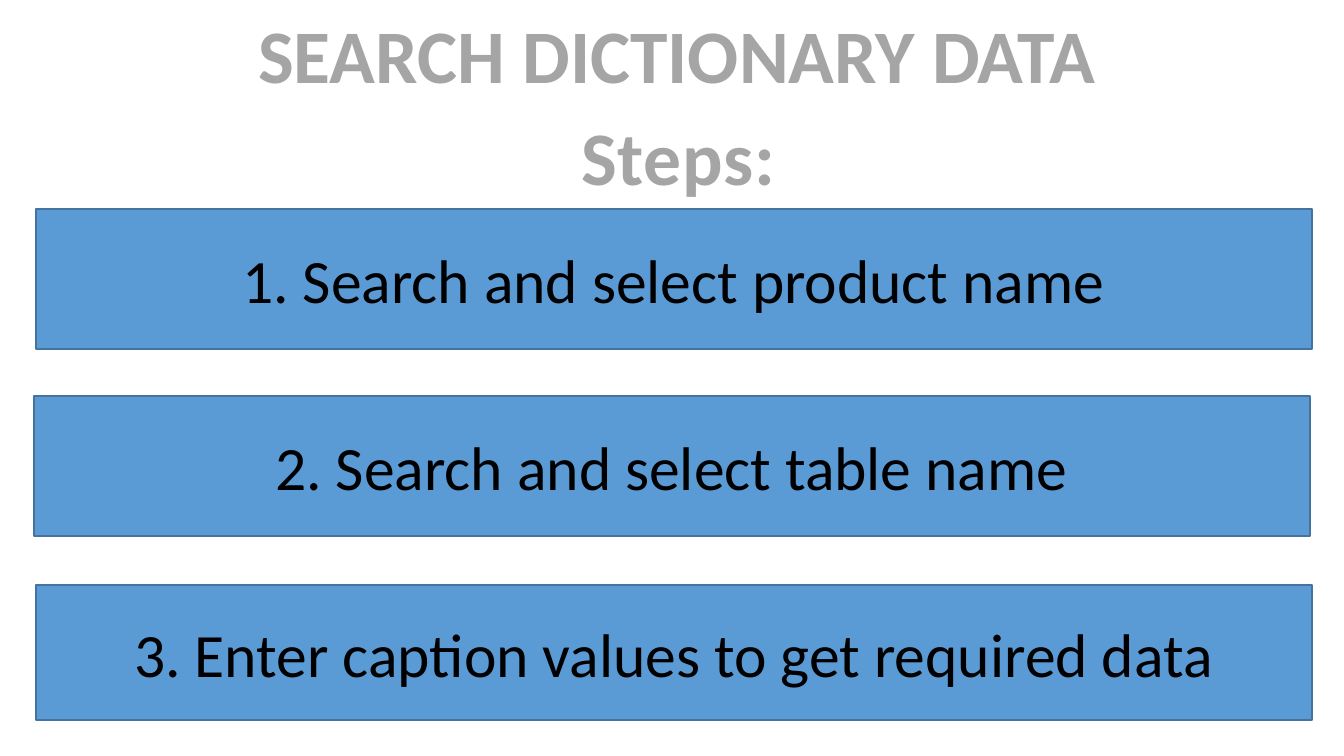
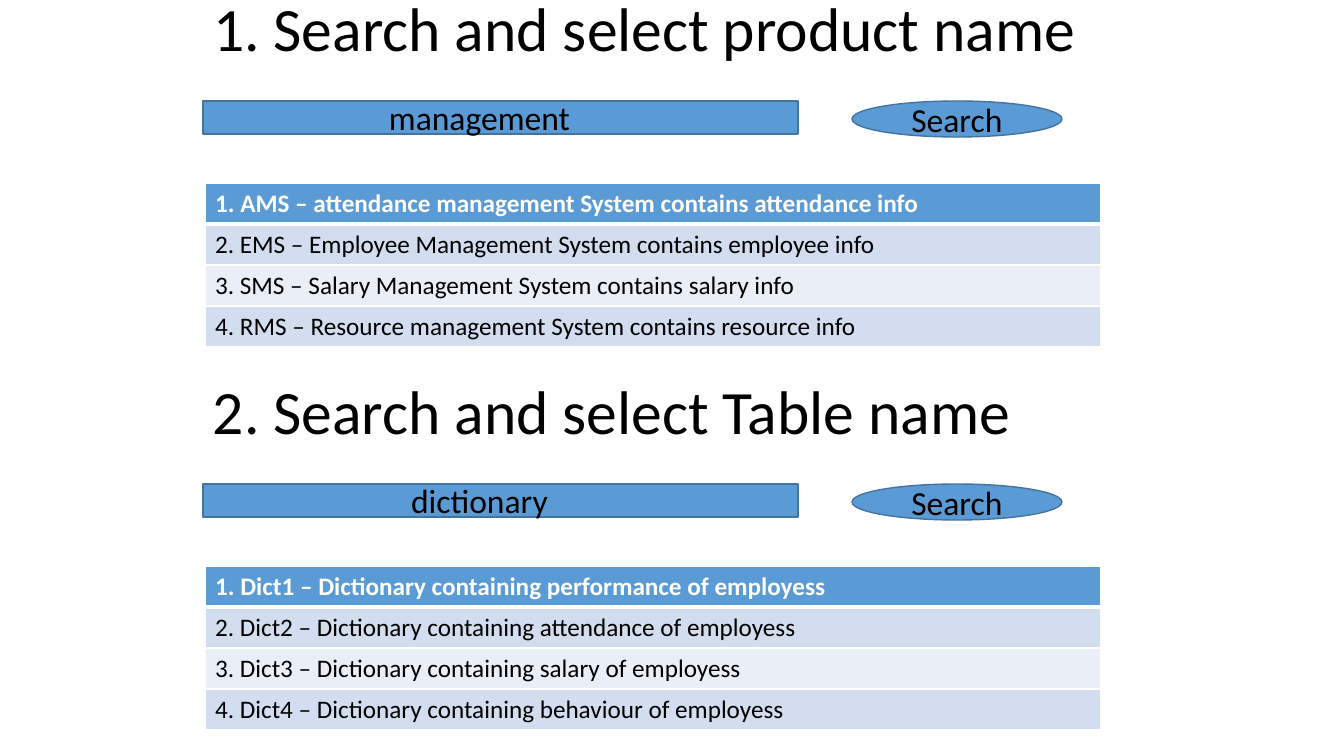
"""Build two slides on searching dictionary data."""
from dataclasses import dataclass

from lxml import etree
from pptx import Presentation
from pptx.dml.color import RGBColor
from pptx.enum.shapes import MSO_SHAPE
from pptx.enum.text import MSO_ANCHOR, MSO_AUTO_SIZE, PP_ALIGN
from pptx.oxml.ns import qn
from pptx.util import Emu, Pt

RECTANGLE, ELLIPSE = MSO_SHAPE.RECTANGLE, MSO_SHAPE.OVAL
LEFT, CENTER = PP_ALIGN.LEFT, PP_ALIGN.CENTER
TOP, MIDDLE = MSO_ANCHOR.TOP, MSO_ANCHOR.MIDDLE
NO_RESIZE = MSO_AUTO_SIZE.NONE
PIXEL = 914400 / 100.8
TITLE_ONLY = 5


@dataclass(frozen=True)
class Theme:
    """Colours, font and type sizes of the deck."""
    font: str = "Calibri"
    ink: str = "000000"
    white: str = "FFFFFF"
    grey: str = "A5A5A5"
    blue: str = "5B9BD5"
    outline: str = "43739E"
    bands: tuple = ("D2DEEF", "EAEFF7")
    banner: int = 54
    heading: int = 44
    control: int = 24
    cell: int = 18


THEME = Theme()


def px(value):
    """Turn picture pixels into EMU."""
    return Emu(round(value * PIXEL))


def assign(target, values):
    """Set every attribute named in a dict."""
    for name, value in values.items():
        setattr(target, name, value)


class SlideBuilder:
    """Hold the deck style and the current slide."""

    def __init__(self, theme):
        """Start an empty widescreen deck."""
        self.theme = theme
        self.deck = Presentation()
        assign(self.deck, {"slide_width": px(1344), "slide_height": px(756)})
        self.page = None

    def new_slide(self):
        """Add a title-only slide and make it current."""
        layout = self.deck.slide_layouts[TITLE_ONLY]
        self.page = self.deck.slides.add_slide(layout)

    def add_line(self, frame, text, size, color, align=LEFT, bold=False, spacing=0):
        """Put one styled line into a text frame."""
        para = frame.paragraphs[0]
        para.alignment = align
        span = para.add_run()
        span.text = text
        assign(span.font, {"name": self.theme.font, "size": Pt(size), "bold": bold})
        span.font.color.rgb = RGBColor.from_string(color)
        if spacing:
            span._r.get_or_add_rPr().set("spc", str(spacing))

    def label(self, box, text, **style):
        """Give a text holder its wrapping, anchor and line."""
        assign(box.text_frame, {"word_wrap": True, "auto_size": NO_RESIZE,
                                "vertical_anchor": TOP})
        self.add_line(box.text_frame, text, **style)

    def title(self, bounds, text, **style):
        """Move and fill the title placeholder."""
        box = self.page.shapes.title
        assign(box, dict(zip(("left", "top", "width", "height"), map(px, bounds))))
        self.label(box, text, **style)

    def text(self, bounds, text, **style):
        """Add a text box."""
        self.label(self.page.shapes.add_textbox(*map(px, bounds)), text, **style)

    def shape(self, kind, bounds, text, size, right_inset=0):
        """Add an outlined blue shape with centred text."""
        shape = self.page.shapes.add_shape(kind, *map(px, bounds))
        shape.shadow.inherit = False
        shape.fill.solid()
        shape.fill.fore_color.rgb = RGBColor.from_string(self.theme.blue)
        shape.line.color.rgb = RGBColor.from_string(self.theme.outline)
        shape.line.width = Pt(1)
        assign(shape.text_frame, {
            "word_wrap": True, "vertical_anchor": MIDDLE, "margin_left": 0,
            "margin_right": px(right_inset), "margin_top": 0, "margin_bottom": 0})
        self.add_line(shape.text_frame, text, size, self.theme.ink, CENTER)

    def border(self, cell, bottom):
        """Draw white cell borders with a given bottom width."""
        properties = cell._tc.get_or_add_tcPr()
        for side, width in (("L", 1), ("R", 1), ("T", 1), ("B", bottom)):
            line = etree.SubElement(properties, qn(f"a:ln{side}"), w=str(Pt(width)))
            fill = etree.SubElement(line, qn("a:solidFill"))
            etree.SubElement(fill, qn("a:srgbClr"), val=self.theme.white)

    def table(self, left, top, width, row_height, lines):
        """Add a one-column table with a header and bands."""
        bounds = (left, top, width, row_height * len(lines))
        frame = self.page.shapes.add_table(len(lines), 1, *map(px, bounds))
        for index, line in enumerate(lines):
            header = index == 0
            cell = frame.table.cell(index, 0)
            self.border(cell, 3 if header else 1)
            color = self.theme.blue if header else self.theme.bands[(index - 1) % 2]
            cell.fill.solid()
            cell.fill.fore_color.rgb = RGBColor.from_string(color)
            ink = self.theme.white if header else self.theme.ink
            self.add_line(cell.text_frame, line, self.theme.cell, ink, bold=header)


def build_steps(builder):
    """Build the overview of the three steps."""
    banner = {"size": THEME.banner, "color": THEME.grey, "align": CENTER, "bold": True}
    builder.new_slide()
    builder.title((244, 3, 866, 102), "SEARCH DICTIONARY DATA", **banner)
    builder.text((570, 105, 217, 102), "Steps:", spacing=50, **banner)
    steps = (
        (36, 209, 140, "1. Search and select product name"),
        (34, 396, 140, "2. Search and select table name"),
        (36, 585, 135, "3. Enter caption values to get required data"),
    )
    for left, top, height, text in steps:
        builder.shape(RECTANGLE, (left, top, 1276, height), text, THEME.heading)


def build_searches(builder):
    """Build the two search forms with their result tables."""
    searches = (
        (builder.title, "1. Search and select product name", "management", (
            "1. AMS – attendance management System contains attendance info",
            "2. EMS – Employee Management System contains employee info",
            "3. SMS – Salary Management System contains salary info",
            "4. RMS – Resource management System contains resource info")),
        (builder.text, "2. Search and select Table name", "dictionary", (
            "1. Dict1 – Dictionary containing performance of employess",
            "2. Dict2 – Dictionary containing attendance of employess",
            "3. Dict3 – Dictionary containing salary of employess",
            "4. Dict4 – Dictionary containing behaviour of employess")),
    )
    builder.new_slide()
    for index, (add_heading, heading, query, results) in enumerate(searches):
        top = 383 * index
        add_heading((203, top - 15, 892, 85), heading,
                    size=THEME.heading, color=THEME.ink)
        builder.shape(RECTANGLE, (203, top + 101, 595, 33), query, THEME.control, 42)
        builder.shape(ELLIPSE, (852, top + 101, 210, 36), "Search", THEME.control)
        builder.table(205, top + 183, 896, 41, results)


def main():
    """Build and save the deck."""
    builder = SlideBuilder(THEME)
    build_steps(builder)
    build_searches(builder)
    builder.deck.save("out.pptx")


main()
